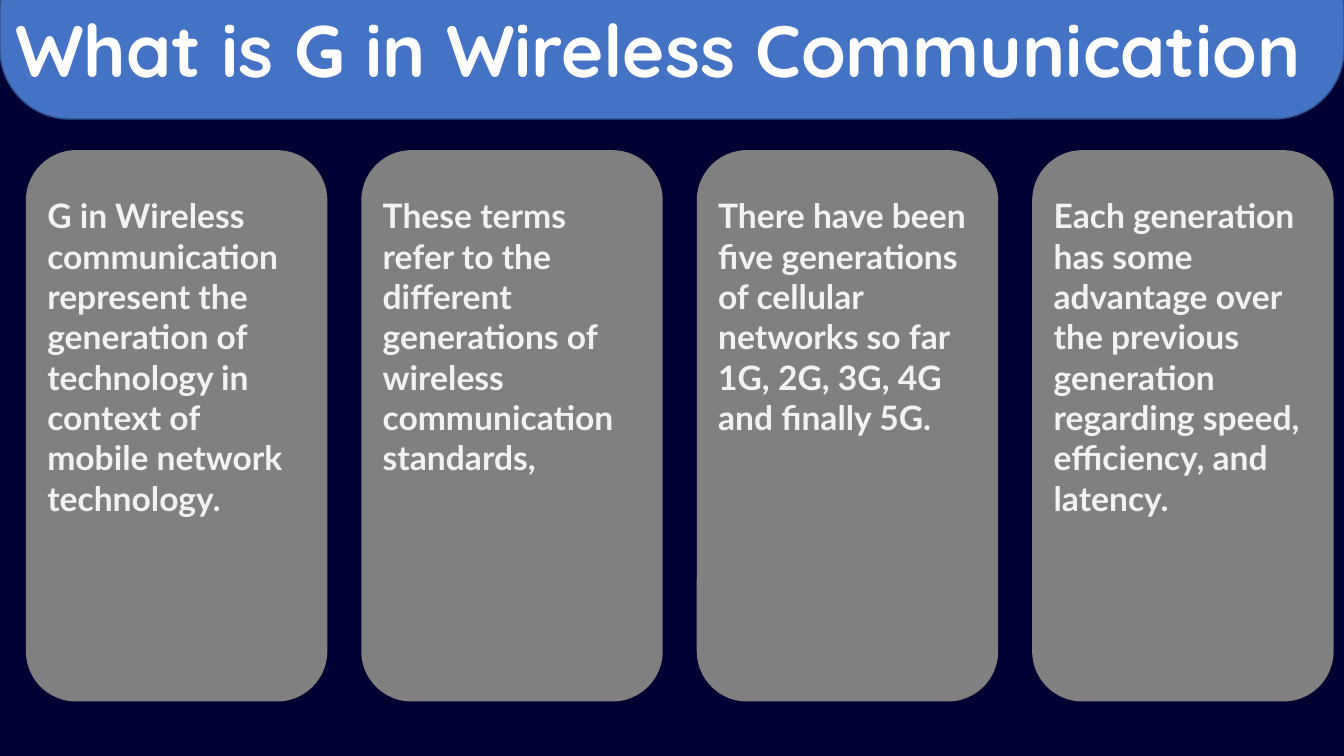
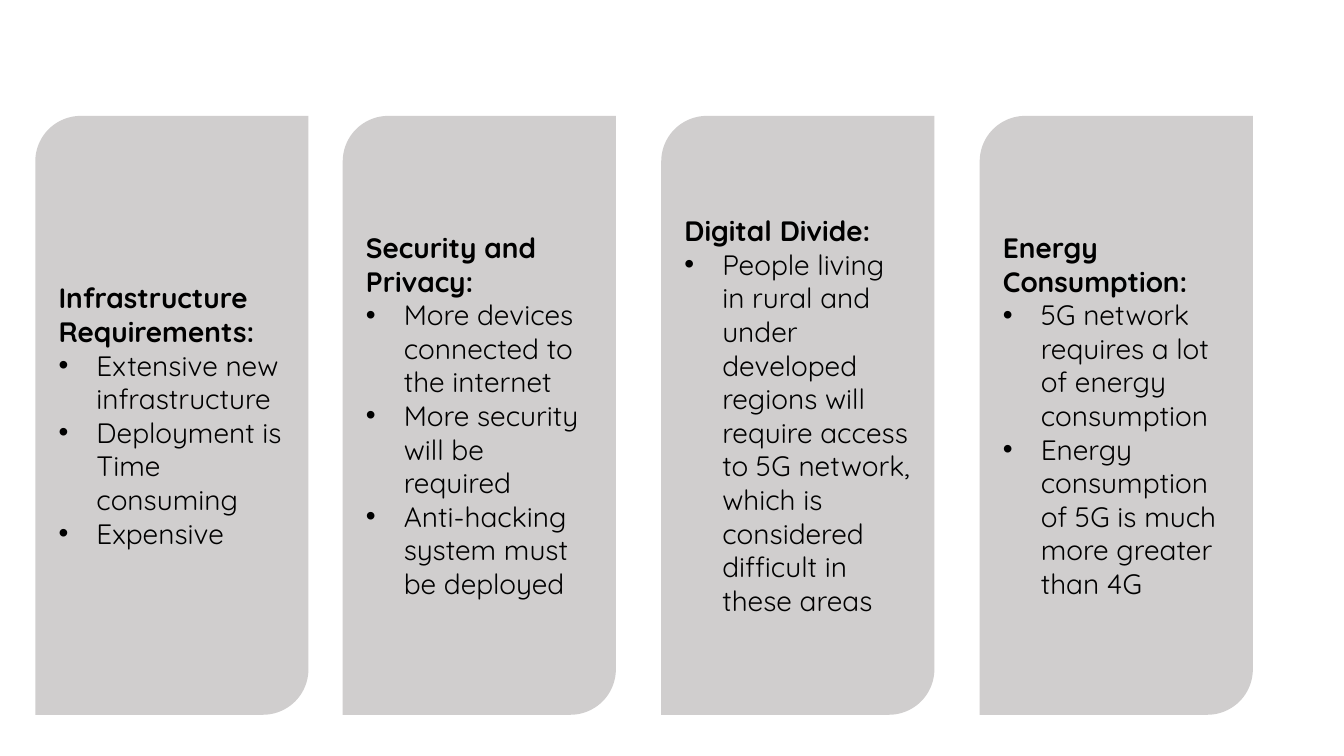
from lxml import etree
from pptx import Presentation
from pptx.dml.color import RGBColor
from pptx.enum.shapes import MSO_SHAPE
from pptx.enum.text import MSO_ANCHOR, MSO_AUTO_SIZE, PP_ALIGN
from pptx.oxml.ns import qn
from pptx.util import Pt

ROUND = MSO_SHAPE.ROUNDED_RECTANGLE
DIAGONAL = MSO_SHAPE.ROUND_2_DIAG_RECTANGLE
LEFT = PP_ALIGN.LEFT
TOP, MIDDLE = MSO_ANCHOR.TOP, MSO_ANCHOR.MIDDLE
NO_FIT = MSO_AUTO_SIZE.NONE

rgb = RGBColor.from_string

# Shared colours and text formats
NAVY, BLUE, BLUE_EDGE = "000032", "4472C4", "325491"
GREY, LIGHT_GREY = "808080", "D0CECE"
TITLE = {"name": "Quicksand", "size": Pt(52), "bold": True, "color": "FFFFFF"}
STATEMENT = {"name": "Lato", "size": Pt(24), "bold": True, "color": "F2F2F2"}
HEADING = {"name": "Quicksand", "size": Pt(20), "bold": True, "color": "000000"}
POINT = {**HEADING, "bold": False}


def add_box(shapes, kind, x, y, w, h, fill):
    sp = shapes.add_shape(kind, Pt(x), Pt(y), Pt(w), Pt(h))
    sp.shadow.inherit = False
    sp.fill.solid()
    sp.fill.fore_color.rgb = rgb(fill)
    sp.line.fill.background()
    return sp


def write(p, text, formats):
    p.alignment = LEFT
    r = p.add_run()
    r.text = text
    for name, value in formats.items():
        if name == "color":
            r.font.color.rgb = rgb(value)
        else:
            setattr(r.font, name, value)


prs = Presentation()
prs.slide_width, prs.slide_height = Pt(960), Pt(540)

# Slide 1: header band and title
s = prs.slides.add_slide(prs.slide_layouts[5])
s.background.fill.solid()
s.background.fill.fore_color.rgb = rgb(NAVY)
band = add_box(s.shapes, ROUND, 0, -43, 960, 128, BLUE)
band.adjustments[0] = 0.39
band.line.color.rgb = rgb(BLUE_EDGE)
band.line.width = Pt(1)

title = s.shapes.title
s.shapes.element.append(title.element)  # bring the title in front of the band
title.left, title.top, title.width, title.height = Pt(3.6), Pt(0), Pt(953), Pt(70.6)
tf = title.text_frame
tf.auto_size, tf.vertical_anchor = NO_FIT, TOP
write(tf.paragraphs[0], "What is G in Wireless Communication", TITLE)

# Slide 1: four statement cards
statements = [
    "G in Wireless communication represent the generation of technology "
    "in context of mobile network technology.",
    "These terms refer to the different generations of wireless "
    "communication standards,",
    "There have been five generations of cellular networks so far "
    "1G, 2G, 3G, 4G and finally 5G.",
    "Each generation has some advantage over the previous generation "
    "regarding speed, efficiency, and latency.",
]
for i, text in enumerate(statements):
    x = 18.5 + i * 239.6
    card = s.shapes.add_group_shape()
    add_box(card.shapes, ROUND, x, 107.3, 215.3, 393.8, GREY)
    tb = card.shapes.add_textbox(Pt(x + 8.2), Pt(136), Pt(199.5), Pt(240))
    tb.text_frame.word_wrap = True
    write(tb.text_frame.paragraphs[0], text, STATEMENT)

# Slide 2: four challenge cards, each with a heading and bullets
challenges = [
    (25.2, "Infrastructure Requirements:", [
        "Extensive new infrastructure",
        "Deployment is Time consuming",
        "Expensive"]),
    (244.8, "Security and Privacy:", [
        "More devices connected to the internet",
        "More security will be required",
        "Anti-hacking system must be deployed"]),
    (472.3, "Digital Divide:", [
        "People living in rural and under developed regions will require "
        "access to 5G network, which is considered difficult in these areas"]),
    (699.8, "Energy Consumption:", [
        "5G network requires a lot of energy consumption",
        "Energy consumption of 5G is much more greater than 4G"]),
]
s = prs.slides.add_slide(prs.slide_layouts[6])
for x, heading, points in challenges:
    sp = add_box(s.shapes, DIAGONAL, x, 82.8, 195.1, 427.8, LIGHT_GREY)
    tf = sp.text_frame
    tf.word_wrap, tf.vertical_anchor = True, MIDDLE
    write(tf.paragraphs[0], heading, HEADING)
    for point in points:
        p = tf.add_paragraph()
        pPr = p._p.get_or_add_pPr()
        pPr.set("marL", str(Pt(27)))
        pPr.set("indent", str(-Pt(27)))
        etree.SubElement(pPr, qn("a:buFont"), typeface="Arial")
        etree.SubElement(pPr, qn("a:buChar"), char="•")
        write(p, point, POINT)

prs.save("out.pptx")
